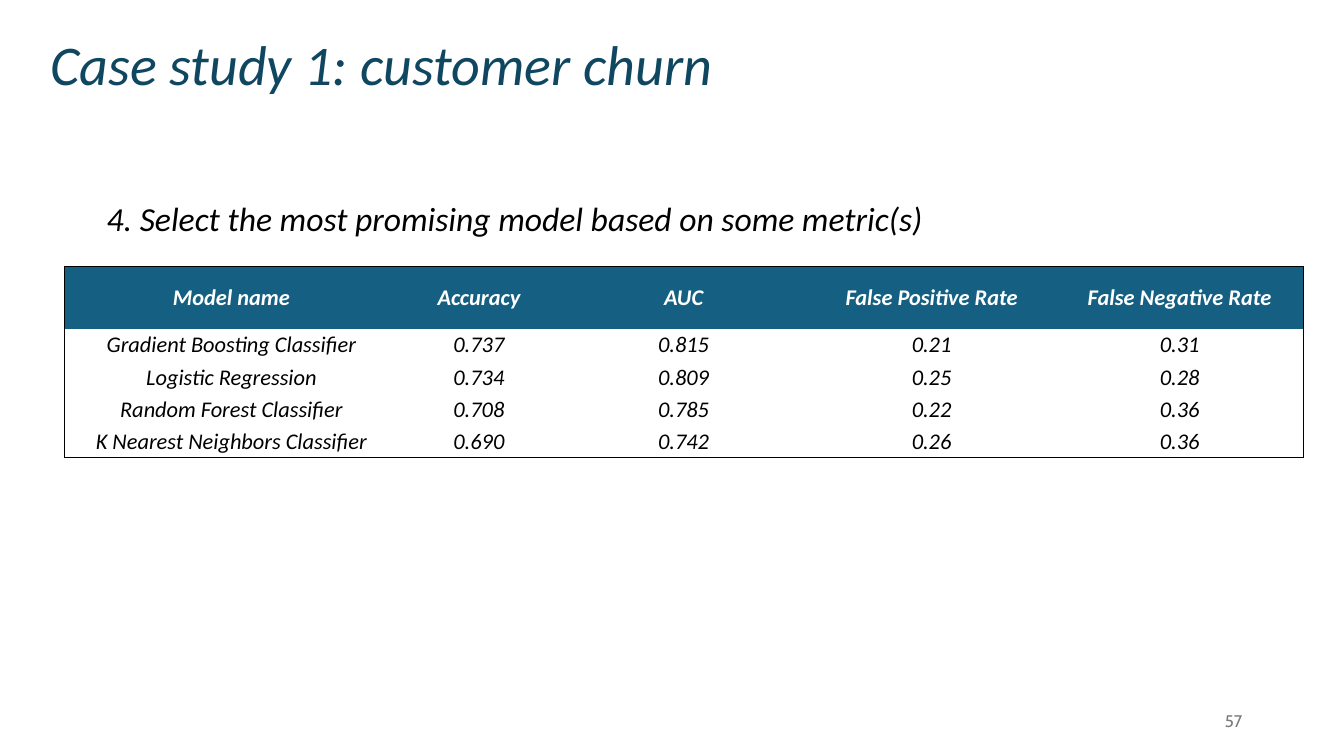
import pptx
import pptx.dml.color
import pptx.enum.text
import pptx.oxml.ns
import pptx.util
from lxml import etree

PX = 9144  # 100 px to the inch
NAVY = pptx.dml.color.RGBColor(0x0F, 0x47, 0x61)
TEAL = pptx.dml.color.RGBColor(0x15, 0x60, 0x82)
GRAY = pptx.dml.color.RGBColor(0x79, 0x79, 0x79)
BLACK = pptx.dml.color.RGBColor(0, 0, 0)
WHITE = pptx.dml.color.RGBColor(0xFF, 0xFF, 0xFF)
ALIGN = pptx.enum.text.PP_ALIGN
ANCHOR = pptx.enum.text.MSO_ANCHOR


def write(paragraph, text, size, color, align=ALIGN.LEFT, name="Calibri", italic=True, bold=False):
    paragraph.alignment = align
    run = paragraph.add_run()
    run.text = text
    run.font.color.rgb = color
    formats = {"name": name, "size": pptx.util.Pt(size), "italic": italic, "bold": bold}
    for key, value in formats.items():
        setattr(run.font, key, value)


def set_border(cell, side, visible):
    """Draw or hide one side (L, R, T or B) of a cell."""
    qn = pptx.oxml.ns.qn
    properties = cell._tc.get_or_add_tcPr()
    line = etree.SubElement(properties, qn("a:ln" + side), w=str(pptx.util.Pt(1)))
    if visible:
        fill = etree.SubElement(line, qn("a:solidFill"))
        etree.SubElement(fill, qn("a:srgbClr"), val=str(BLACK))
    else:
        etree.SubElement(line, qn("a:noFill"))


presentation = pptx.Presentation()
presentation.slide_width = 1333 * PX
presentation.slide_height = 750 * PX
slide = presentation.slides.add_slide(presentation.slide_layouts[6])

# Title
title = slide.shapes.add_textbox(0, 1 * PX, 724 * PX, 98 * PX).text_frame
title_format = {"word_wrap": True, "margin_left": 0, "margin_right": 0,
                "margin_top": 24 * PX, "margin_bottom": 5 * PX}
for key, value in title_format.items():
    setattr(title, key, value)
paragraph = title.paragraphs[0]
paragraph.line_spacing = 1.07
paragraph.space_after = pptx.util.Pt(8)
paragraph._p.get_or_add_pPr().set("marL", str(50 * PX))
write(paragraph, "Case study 1: customer churn", 40, NAVY)

# Model comparison
models = [
    ("Model name", "Accuracy", "AUC", "False Positive Rate", "False Negative Rate"),
    ("Gradient Boosting Classifier", "0.737", "0.815", "0.21", "0.31"),
    ("Logistic Regression", "0.734", "0.809", "0.25", "0.28"),
    ("Random Forest Classifier", "0.708", "0.785", "0.22", "0.36"),
    ("K Nearest Neighbors Classifier", "0.690", "0.742", "0.26", "0.36"),
]
column_widths = [331, 160, 246, 246, 246]
row_heights = [62, 32, 32, 32, 32]
table = slide.shapes.add_table(len(row_heights), len(column_widths), 64 * PX, 264 * PX,
                               sum(column_widths) * PX, sum(row_heights) * PX).table
table.first_row = False
table.horz_banding = False
for column, width in zip(table.columns, column_widths):
    column.width = width * PX
for row, height in zip(table.rows, row_heights):
    row.height = height * PX

cell_format = {"vertical_anchor": ANCHOR.MIDDLE, "margin_left": PX, "margin_right": PX,
               "margin_top": PX, "margin_bottom": 0}
for r, model in enumerate(models):
    header = r == 0
    for c, text in enumerate(model):
        cell = table.cell(r, c)
        for key, value in cell_format.items():
            setattr(cell, key, value)
        outer_sides = {"L": c == 0, "R": c == len(model) - 1,
                       "T": header, "B": r == len(models) - 1}
        for side, visible in outer_sides.items():
            set_border(cell, side, visible)
        cell.fill.solid()
        cell.fill.fore_color.rgb = TEAL if header else WHITE
        write(cell.text_frame.paragraphs[0], text, 16, WHITE if header else BLACK,
              ALIGN.CENTER, bold=header)

# Step heading
step = slide.shapes.add_textbox(96 * PX, 191 * PX, 1069 * PX, 50 * PX).text_frame
step.word_wrap = True
write(step.paragraphs[0], "4. Select the most promising model based on some metric(s)", 24, BLACK)

# Slide number
number = slide.shapes.add_textbox(942 * PX, 695 * PX, 300 * PX, 40 * PX).text_frame
number.word_wrap = True
number.vertical_anchor = ANCHOR.MIDDLE
write(number.paragraphs[0], "57", 12, GRAY, ALIGN.RIGHT, name="Cabin", italic=False)

presentation.save("out.pptx")
